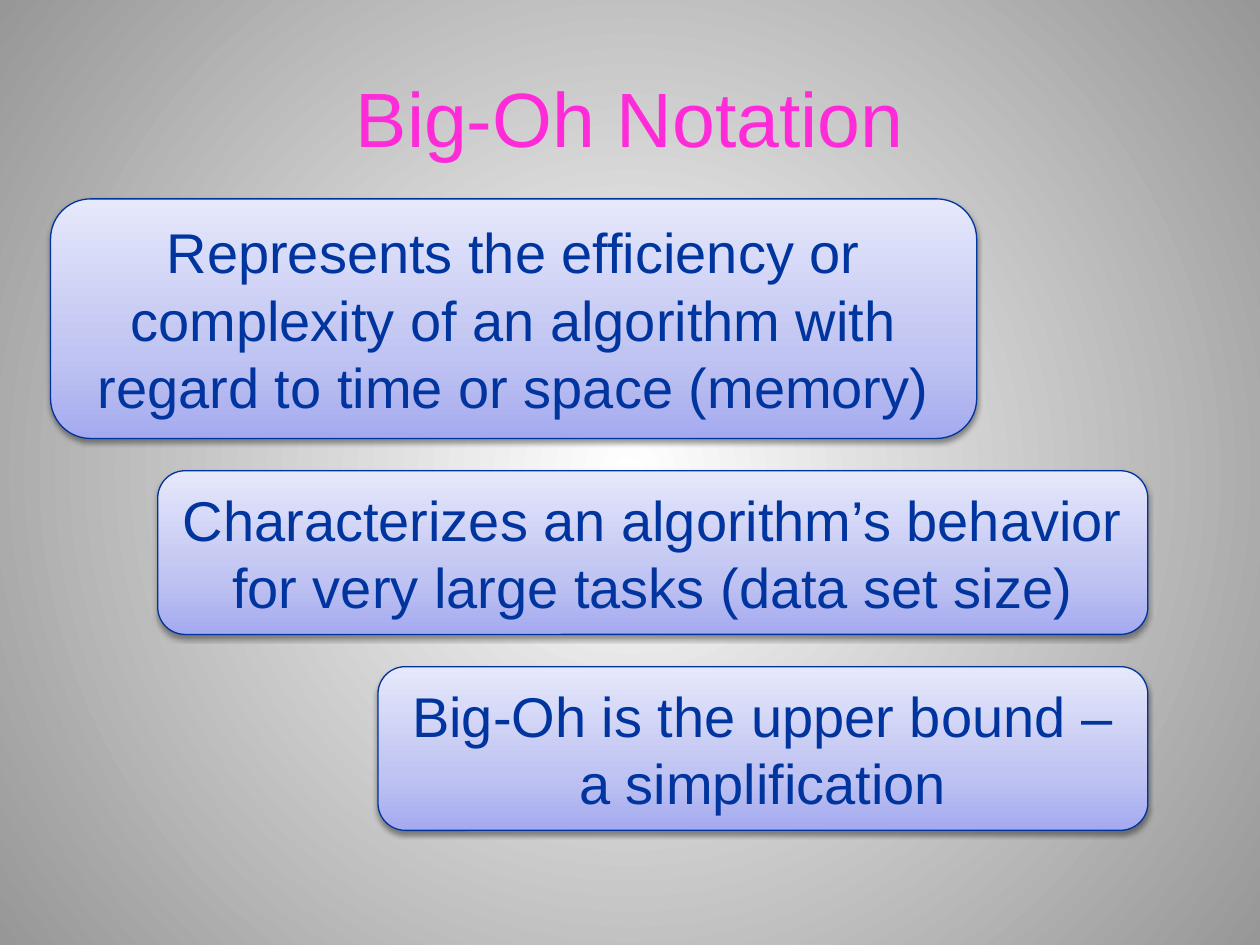
from lxml import etree
from pptx import Presentation
from pptx.dml.color import RGBColor
from pptx.enum.shapes import MSO_SHAPE
from pptx.enum.text import MSO_ANCHOR, MSO_AUTO_SIZE, PP_ALIGN
from pptx.oxml import parse_xml
from pptx.util import Cm, Pt

ROUND = MSO_SHAPE.ROUNDED_RECTANGLE
MIDDLE = MSO_ANCHOR.MIDDLE
GROW = MSO_AUTO_SIZE.SHAPE_TO_FIT_TEXT
CENTER = PP_ALIGN.CENTER
NS = ('xmlns:a="http://schemas.openxmlformats.org/drawingml/2006/main" '
      'xmlns:p="http://schemas.openxmlformats.org/presentationml/2006/main"')

# Content: text, left, width, height (cm)
TITLE = "Big-Oh Notation"
CARDS = [
    ("Represents the efficiency or complexity of an algorithm with "
     "regard to time or space (memory)", 1.02, 18.67, 4.83),
    ("Characterizes an algorithm’s behavior for very large tasks "
     "(data set size)", 3.18, 19.96, 3.3),
    ("Big-Oh is the upper bound – a simplification", 7.62, 15.52, 3.3),
]
TOP, GAP = 4.01, 0.65
COLORS = {"title": "FF2BD8", "text": "00349E", "line": "00339B",
          "low": "A4AAEF", "mid": "C0C4F2", "high": "E6E8FB",
          "center": "FFFFFF", "edge": "979797", "shadow": "000000"}


def grad(stops, shade):
    """Gradient fill from (percent, colour name) stops."""
    marks = "".join(f'<a:gs pos="{pos * 1000}"><a:srgbClr val="{COLORS[name]}"/></a:gs>'
                    for pos, name in stops)
    return f'<a:gradFill {NS} rotWithShape="1"><a:gsLst>{marks}</a:gsLst>{shade}</a:gradFill>'


def write(shape, text, size, color):
    frame = shape.text_frame
    frame.word_wrap = True
    frame.vertical_anchor = MIDDLE
    para = frame.paragraphs[0]
    para.text = text
    para.alignment = CENTER
    para.font.name = "Arial"
    para.font.size = Pt(size)
    para.font.color.rgb = RGBColor.from_string(COLORS[color])


def add_card(slide, text, left, top, width, height):
    card = slide.shapes.add_shape(ROUND, Cm(left), Cm(top), Cm(width), Cm(height))
    card.line.color.rgb = RGBColor.from_string(COLORS["line"])
    card.line.width = Pt(0.75)
    card.shadow.inherit = False
    write(card, text, 32, "text")
    card.text_frame.auto_size = GROW

    # Gradient follows the geometry; shadow goes in the effect list
    props = card._element.spPr
    fill = grad([(0, "low"), (35, "mid"), (100, "high")],
                '<a:lin ang="16200000" scaled="1"/>')
    props.insert(2, parse_xml(fill))
    shade = etree.SubElement(props[-1], props[-1].tag.replace("effectLst", "outerShdw"),
                             blurRad=str(Pt(3.1)), dist=str(Pt(1.6)),
                             dir="5400000", rotWithShape="0")
    shade.append(parse_xml(f'<a:srgbClr {NS} val="{COLORS["shadow"]}">'
                           '<a:alpha val="38000"/></a:srgbClr>'))


deck = Presentation()
deck.slide_width, deck.slide_height = Cm(25.4), Cm(19.05)
slide = deck.slides.add_slide(deck.slide_layouts[6])

# Background
glow = grad([(0, "center"), (100, "edge")],
            '<a:path path="circle"><a:fillToRect l="50000" t="50000" '
            'r="50000" b="50000"/></a:path>')
slide._element.cSld.insert(0, parse_xml(
    f'<p:bg {NS}><p:bgPr>{glow}<a:effectLst/></p:bgPr></p:bg>'))

# Title
title = slide.shapes.add_textbox(Cm(1.27), Cm(0.76), Cm(22.86), Cm(3.18))
write(title, TITLE, 44, "title")

# Cards, stacked with an equal gap
top = TOP
for text, left, width, height in CARDS:
    add_card(slide, text, left, top, width, height)
    top += height + GAP

deck.save("out.pptx")
